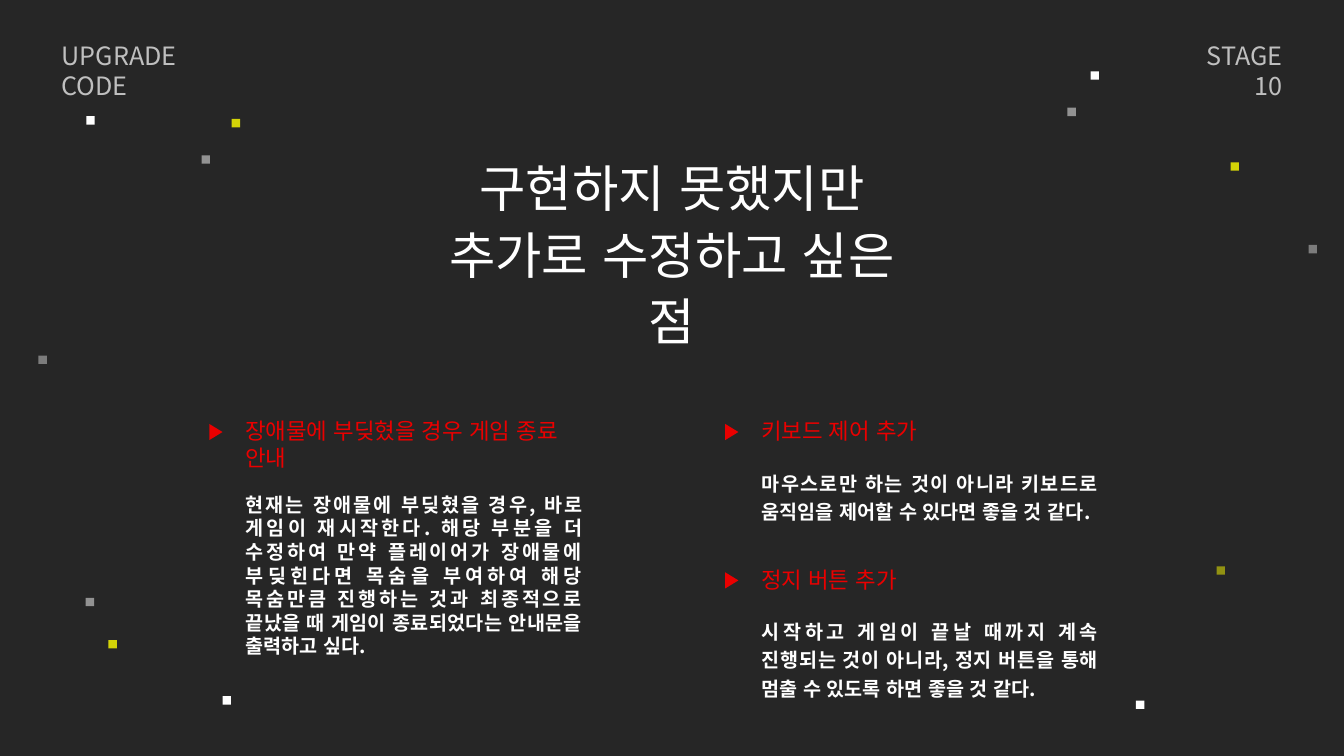
import pptx
import pptx.util
import pptx.dml.color
import pptx.enum.lang
import pptx.enum.shapes
import pptx.enum.text
import pptx.oxml
import pptx.oxml.ns

Pt = pptx.util.Pt
Shape = pptx.enum.shapes.MSO_SHAPE
Align = pptx.enum.text.PP_ALIGN

FONT = "Noto Sans CJK KR"
COLORS = {
    "back": "262626",
    "white": "FFFFFF",
    "yellow": "FFFF00",
    "red": "EA0000",
    "gray": "BFBFBF",
}
DOT = 6

# left, top, colour, opacity in percent
DOTS = [
    (165.5, 85, "yellow", 80),
    (144, 111, "white", 50),
    (779, 51, "white", 100),
    (762.5, 77, "white", 50),
    (879, 116, "yellow", 80),
    (61.2, 427, "white", 50),
    (77.5, 457.2, "yellow", 80),
    (159, 497.3, "white", 100),
    (811.4, 500.4, "white", 100),
    (869, 404.5, "yellow", 50),
    (61.7, 83, "white", 100),
    (27.5, 254, "white", 40),
    (934.7, 175, "white", 40),
]

# left, top, heading size, gap to body, body height, body spacing, heading, body
ITEMS = [
    (168, 294.5, (239, 46), 54, 109, 1.0,
     "장애물에 부딪혔을 경우 게임 종료 안내",
     "현재는 장애물에 부딪혔을 경우, 바로 게임이 재시작한다. "
     "해당 부분을 더 수정하여 만약 플레이어가 장애물에 부딪힌다면 "
     "목숨을 부여하여 해당 목숨만큼 진행하는 것과 최종적으로 끝났을 때 "
     "게임이 종료되었다는 안내문을 출력하고 싶다."),
    (536.5, 294.5, (281, 27), 35.5, 47, 1.2,
     "키보드 제어 추가",
     "마우스로만 하는 것이 아니라 키보드로 움직임을 제어할 수 있다면 "
     "좋을 것 같다."),
    (536.5, 400.5, (281, 27), 35.5, 67, 1.2,
     "정지 버튼 추가",
     "시작하고 게임이 끝날 때까지 계속 진행되는 것이 아니라, "
     "정지 버튼을 통해 멈출 수 있도록 하면 좋을 것 같다."),
]


def rgb(name):
    return pptx.dml.color.RGBColor.from_string(COLORS[name])


def add_form(slide, kind, box, color, alpha=100):
    """Add a borderless filled shape; alpha is its opacity in percent."""
    form = slide.shapes.add_shape(kind, *map(Pt, box))
    form.shadow.inherit = False
    form.line.fill.background()
    form.fill.solid()
    form.fill.fore_color.rgb = rgb(color)
    if alpha < 100:
        tone = form.fill._xPr.find(".//" + pptx.oxml.ns.qn("a:srgbClr"))
        node = pptx.oxml.parse_xml(
            f'<a:alpha {pptx.oxml.ns.nsdecls("a")} val="{alpha * 1000}"/>')
        tone.append(node)
    return form


def add_text(slide, text, box, size, color, bold=False, align=Align.LEFT,
             space=1.0):
    """Add a text box: a new line starts a paragraph, \\v breaks a line."""
    frame = slide.shapes.add_textbox(*map(Pt, box)).text_frame
    frame.word_wrap = True
    frame.auto_size = pptx.enum.text.MSO_AUTO_SIZE.SHAPE_TO_FIT_TEXT
    frame.text = text
    for para in frame.paragraphs:
        para.alignment = align
        para.line_spacing = space
        for run in para.runs:
            font = run.font
            font.size = Pt(size)
            font.bold = bold
            font.color.rgb = rgb(color)
            font.language_id = pptx.enum.lang.MSO_LANGUAGE_ID.KOREAN
            font.name = FONT
            node = pptx.oxml.parse_xml(
                f'<a:ea {pptx.oxml.ns.nsdecls("a")} typeface="{FONT}"/>')
            font._element.find(pptx.oxml.ns.qn("a:latin")).addnext(node)


def add_item(slide, left, top, size, gap, height, space, head, body):
    """Add a marked red heading with its justified body text."""
    mark = add_form(slide, Shape.ISOSCELES_TRIANGLE,
                    (left - 19.5, top + 9.4, 11.5, 9.4), "red")
    mark.rotation = 90
    add_text(slide, head, (left, top, *size), 16, "red")
    add_text(slide, body, (left + 0.5, top + gap, 254.5, height), 14, "white",
             bold=True, align=Align.JUSTIFY, space=space)


def main():
    deck = pptx.Presentation()
    deck.slide_width, deck.slide_height = Pt(960), Pt(540)
    slide = deck.slides.add_slide(deck.slide_layouts[6])
    slide.background.fill.solid()
    slide.background.fill.fore_color.rgb = rgb("back")

    for left, top, color, alpha in DOTS:
        add_form(slide, Shape.RECTANGLE, (left, top, DOT, DOT), color, alpha)

    add_text(slide, "UPGRADE\vCODE", (37, 25.2, 124, 50), 18, "gray")
    add_text(slide, "STAGE\v10", (836, 25.2, 87, 50), 18, "gray",
             align=Align.RIGHT)
    add_text(slide, "구현하지 못했지만\n추가로 수정하고 싶은 점",
             (312.5, 104.4, 335, 147.6), 36, "white",
             align=Align.CENTER, space=1.1)

    for item in ITEMS:
        add_item(slide, *item)

    deck.save("out.pptx")


if __name__ == "__main__":
    main()
